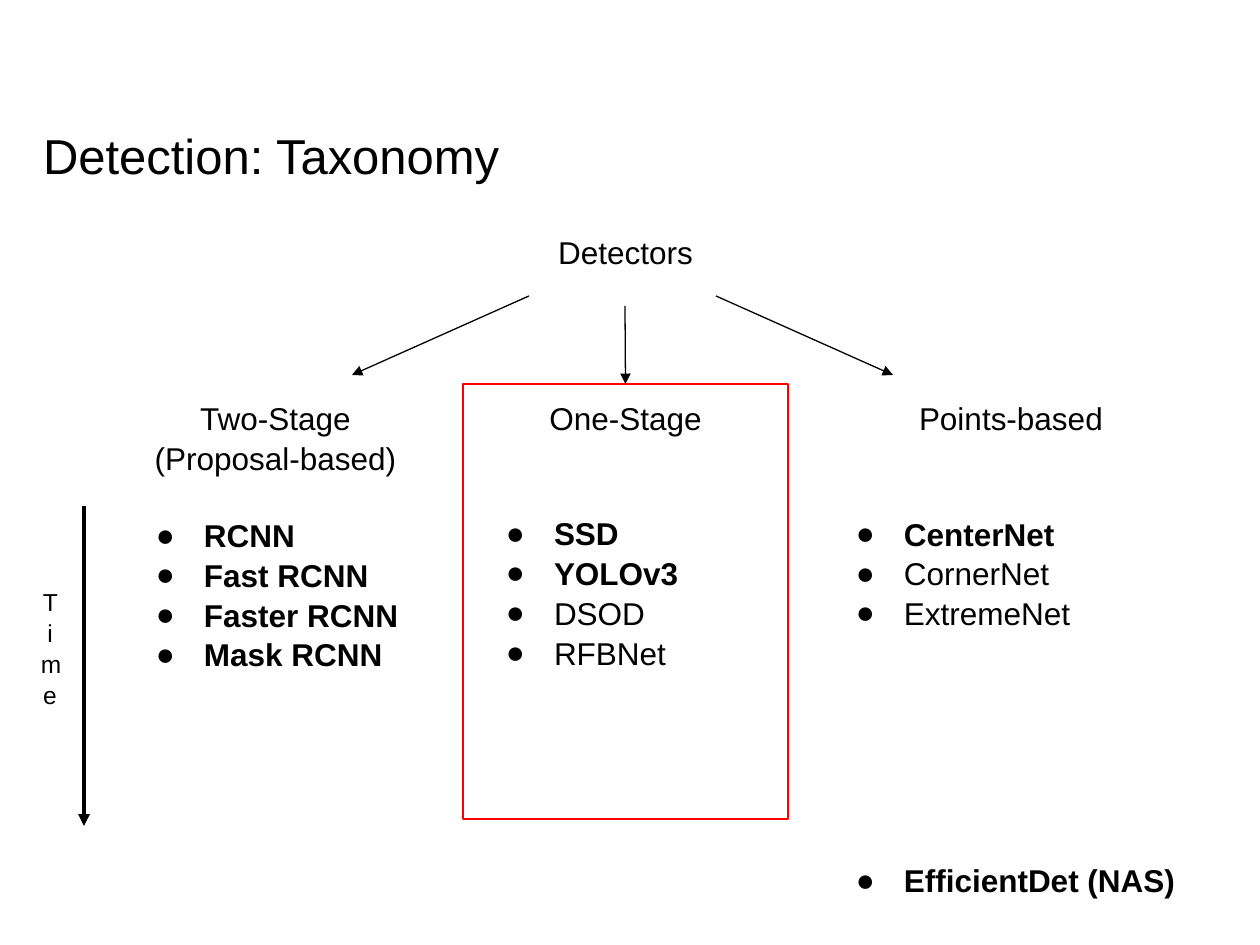
import lxml.etree
import pptx
import pptx.dml.color
import pptx.enum.shapes
import pptx.enum.text
import pptx.oxml.ns
import pptx.util

SCALE = 914400 / 126
FONT = "Arial"
BLACK, RED = "000000", "FF0000"
LINE_SPACING = 1.05
BODY_SIZE = 18
LINE_PT = 21.7  # height of one body line
INDENT, HANGING = 63, 48

TITLE = ("Detection: Taxonomy", (43, 110, 1174, 140), 28)
ROOT = ("Detectors", (478, 218, 295, 88), BODY_SIZE)
TIME = ("Time", (28, 573, 44, 187), 14)
HIGHLIGHT = (463, 384, 325, 435)

# Each item: name, bold, number of lines left free above it
COLUMNS = [
    {"heading": "One-Stage", "box": (478, 384, 295, 391),
     "items": [("SSD", True, 2), ("YOLOv3", True, 0),
               ("DSOD", False, 0), ("RFBNet", False, 0)]},
    {"heading": "Two-Stage (Proposal-based)", "box": (128, 384, 295, 422),
     "items": [("RCNN", True, 1), ("Fast RCNN", True, 0),
               ("Faster RCNN", True, 0), ("Mask RCNN", True, 0)]},
    {"heading": "Points-based", "box": (828, 384, 366, 537),
     "items": [("CenterNet", True, 2), ("CornerNet", False, 0),
               ("ExtremeNet", False, 0), ("EfficientDet (NAS)", True, 6)]},
]

# Start x, start y, end x, end y, width in points
BRANCHES = [(529, 296, 352, 375, 0.75), (716, 296, 893, 375, 0.75)]
TO_HIGHLIGHT = (625, 306, 625, 384, 0.75)
TIME_AXIS = (84, 506, 84, 826, 2.25)


def px(*lengths):
    return [pptx.util.Emu(round(length * SCALE)) for length in lengths]


def color(value):
    return pptx.dml.color.RGBColor.from_string(value)


def add_element(parent, tag, **attributes):
    return lxml.etree.SubElement(parent, pptx.oxml.ns.qn(tag), attributes)


def add_bullet(paragraph):
    indent, hanging = px(INDENT, HANGING)
    properties = paragraph._p.get_or_add_pPr()
    properties.set("marL", str(indent))
    properties.set("indent", str(-hanging))
    add_element(add_element(properties, "a:buClr"), "a:srgbClr", val=BLACK)
    add_element(properties, "a:buFont", typeface=FONT)
    add_element(properties, "a:buChar", char="●")


def write(paragraph, text, size, align, bold=False):
    paragraph.alignment = align
    paragraph.line_spacing = LINE_SPACING
    run = paragraph.add_run()
    run.text = text
    run.font.name = FONT
    run.font.size = pptx.util.Pt(size)
    run.font.bold = bold
    run.font.color.rgb = color(BLACK)


def set_frame(frame, side):
    frame.word_wrap = True
    frame.auto_size = pptx.enum.text.MSO_AUTO_SIZE.NONE
    frame.vertical_anchor = pptx.enum.text.MSO_ANCHOR.TOP
    frame.margin_left = frame.margin_right = px(side)[0]
    frame.margin_top = frame.margin_bottom = px(13)[0]


def add_label(slide, text, box, size):
    """Add a centred text box and return its frame."""
    frame = slide.shapes.add_textbox(*px(*box)).text_frame
    set_frame(frame, 13)
    write(frame.paragraphs[0], text, size, pptx.enum.text.PP_ALIGN.CENTER)
    return frame


def add_column(slide, heading, box, items):
    frame = add_label(slide, heading, box, BODY_SIZE)
    for name, bold, free_lines in items:
        paragraph = frame.add_paragraph()
        add_bullet(paragraph)
        paragraph.space_before = pptx.util.Pt(free_lines * LINE_PT)
        write(paragraph, name, BODY_SIZE, pptx.enum.text.PP_ALIGN.LEFT, bold)


def add_arrow(slide, x1, y1, x2, y2, width):
    arrow = slide.shapes.add_connector(
        pptx.enum.shapes.MSO_CONNECTOR.STRAIGHT, *px(x1, y1, x2, y2))
    arrow.line.color.rgb = color(BLACK)
    arrow.line.width = pptx.util.Pt(width)
    add_element(arrow.line._get_or_add_ln(), "a:tailEnd", type="triangle")
    add_element(arrow._element.spPr, "a:effectLst")
    return arrow


def main():
    deck = pptx.Presentation()
    deck.slide_width, deck.slide_height = px(1260, 945)
    slide = deck.slides.add_slide(deck.slide_layouts[5])

    highlight = slide.shapes.add_shape(
        pptx.enum.shapes.MSO_SHAPE.RECTANGLE, *px(*HIGHLIGHT))
    highlight.shadow.inherit = False
    highlight.fill.background()
    highlight.line.color.rgb = color(RED)
    highlight.line.width = pptx.util.Pt(1.5)

    text, box, size = TITLE
    title = slide.shapes.title
    title.left, title.top, title.width, title.height = px(*box)
    set_frame(title.text_frame, 0)
    write(title.text_frame.paragraphs[0], text, size,
          pptx.enum.text.PP_ALIGN.LEFT)

    add_label(slide, *ROOT)
    for column in COLUMNS:
        add_column(slide, **column)

    for branch in BRANCHES:
        add_arrow(slide, *branch)
    add_arrow(slide, *TO_HIGHLIGHT).end_connect(highlight, 0)
    add_arrow(slide, *TIME_AXIS)
    add_label(slide, *TIME)

    deck.save("out.pptx")


if __name__ == "__main__":
    main()
